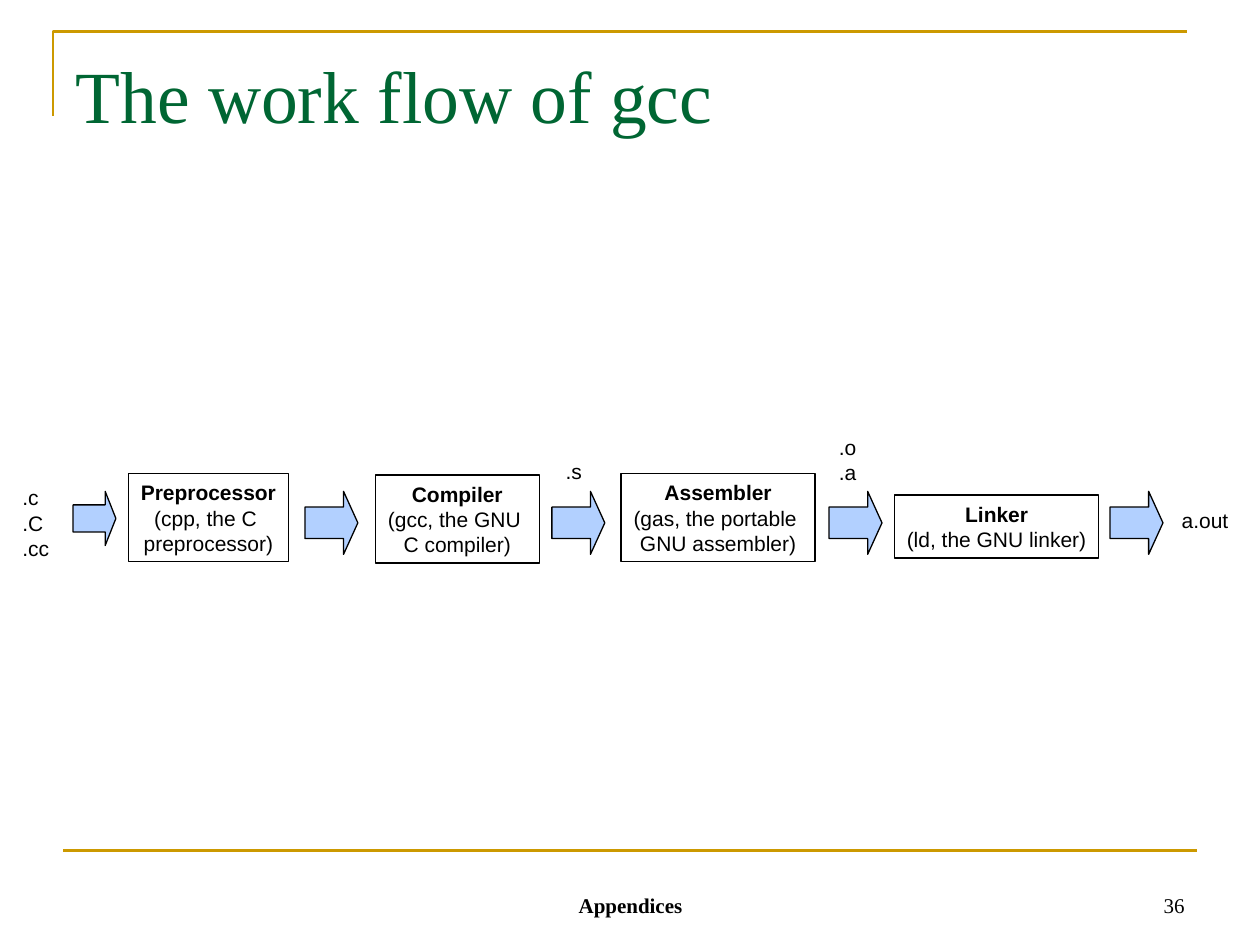
from dataclasses import dataclass
from lxml.etree import SubElement as Sub
from pptx import Presentation
from pptx.dml.color import RGBColor as Rgb
from pptx.enum.shapes import MSO_CONNECTOR as Link, MSO_SHAPE as Form
from pptx.enum.text import MSO_ANCHOR as Anchor, PP_ALIGN as Align
from pptx.oxml.ns import qn
from pptx.util import Inches, Pt


@dataclass(frozen=True)
class Theme:
    ink: Rgb = Rgb(0, 0, 0)
    green: Rgb = Rgb(0x00, 0x66, 0x33)
    gold: Rgb = Rgb(0xCC, 0x99, 0x00)
    blue: Rgb = Rgb(0x00, 0x66, 0xFF)
    sans: str = "Arial"
    serif: str = "Times New Roman"
    head: int = 42
    body: int = 12
    rule: float = 1.5
    edge: float = 0.75


@dataclass(frozen=True)
class Box:
    x: float
    y: float
    w: float
    h: float

    def inner(self, x, y, w, h):
        return Box(self.x + x, self.y + y, w, h)

    def emu(self):
        return [unit(n) for n in (self.x, self.y, self.w, self.h)]


THEME = Theme()
WIDE = 10
COLS, ROWS = 100, 75


def unit(n):
    return Inches(n * WIDE / COLS)


def stroke(line, tint, size):
    line.color.rgb = tint
    line.width = Pt(size)


def write(frame, lines, face, size=THEME.body, tint=THEME.ink,
          align=Align.LEFT, bold=0):
    for i, words in enumerate(lines):
        para = frame.paragraphs[0] if i == 0 else frame.add_paragraph()
        para.alignment = align
        run = para.add_run()
        run.text = words
        font = run.font
        font.name, font.size, font.bold = face, Pt(size), i < bold
        font.color.rgb = tint


def label(slide, box, lines, face=THEME.sans, anchor=Anchor.TOP, **style):
    frame = slide.shapes.add_textbox(*box.emu()).text_frame
    frame.word_wrap = True
    frame.vertical_anchor = anchor
    write(frame, lines, face, **style)


def stage(slide, box, lines):
    shape = slide.shapes.add_shape(Form.RECTANGLE, *box.emu())
    shape.shadow.inherit = False
    shape.fill.background()
    stroke(shape.line, THEME.ink, THEME.edge)
    frame = shape.text_frame
    frame.word_wrap = False
    frame.vertical_anchor = Anchor.TOP
    write(frame, lines, THEME.sans, align=Align.CENTER, bold=1)


def arrow(slide, box, tip):
    shape = slide.shapes.add_shape(Form.RIGHT_ARROW, *box.emu())
    shape.shadow.inherit = False
    shape.adjustments[0], shape.adjustments[1] = 0.5, tip
    shape.fill.solid()
    shape.fill.fore_color.rgb = THEME.blue
    tint = shape._element.spPr.find(qn("a:solidFill"))[0]
    Sub(tint, qn("a:alpha"), val="30000")
    stroke(shape.line, THEME.ink, THEME.edge)


def header(slide, box):
    pen = slide.shapes.build_freeform(unit(box.x), unit(box.y + 6.7))
    pen.add_line_segments(
        [(unit(box.x), unit(box.y)), (unit(box.x + box.w), unit(box.y))],
        close=False)
    frame = pen.convert_to_shape()
    frame.shadow.inherit = False
    frame.fill.background()
    stroke(frame.line, THEME.gold, THEME.rule)

    title = slide.shapes.title
    spot = box.inner(0.8, 0.5, 90, 12.5)
    title.left, title.top, title.width, title.height = spot.emu()
    text = title.text_frame
    text.vertical_anchor = Anchor.TOP
    text.margin_top = unit(1)
    write(text, ["The work flow of gcc"], THEME.serif, THEME.head, THEME.green)


def flow(slide, box):
    stages = [
        (10.2, 3.6, 12.7, 7, ["Preprocessor", "(cpp, the C ", "preprocessor)"]),
        (29.8, 3.7, 13, 7, ["Compiler", "(gcc, the GNU ", "C compiler)"]),
        (49.3, 3.6, 15.4, 7,
         ["Assembler", "(gas, the portable ", "GNU assembler)"]),
        (71, 5.3, 16.2, 5, ["Linker", "(ld, the GNU linker)"]),
    ]
    for *spot, lines in stages:
        stage(slide, box.inner(*spot), lines)

    arrow(slide, box.inner(5.8, 5, 3.4, 4.3), 0.25)
    for x in (24.2, 43.8, 65.8, 88.1):
        arrow(slide, box.inner(x, 5, 4.2, 5), 0.27)

    files = [
        (0.8, 4, 4.4, 7, [".c", ".C", ".cc"]),
        (43.9, 1.9, 3.4, 3, [".s"]),
        (65.6, 0, 3.5, 5, [".o", ".a"]),
        (92.8, 5.8, 6.5, 3, ["a.out"]),
    ]
    for *spot, lines in files:
        label(slide, box.inner(*spot), lines)


def footer(slide, box):
    rule = slide.shapes.add_connector(
        Link.STRAIGHT, unit(box.x), unit(box.y),
        unit(box.x + box.w), unit(box.y))
    stroke(rule.line, THEME.gold, THEME.rule)
    Sub(rule._element.spPr, qn("a:effectLst"))
    label(slide, box.inner(29.2, 0.8, 31.7, 5), ["Appendices"], THEME.serif,
          Anchor.BOTTOM, align=Align.CENTER, bold=1)
    label(slide, box.inner(66.7, 0.8, 23.3, 5), ["36"], THEME.serif,
          Anchor.BOTTOM, align=Align.RIGHT)


def main():
    deck = Presentation()
    deck.slide_width, deck.slide_height = unit(COLS), unit(ROWS)
    slide = deck.slides.add_slide(deck.slide_layouts[5])
    header(slide, Box(4.2, 2.5, 90, 13))
    flow(slide, Box(0, 34, COLS, 11))
    footer(slide, Box(5, 67.5, 90, 5.8))
    deck.save("out.pptx")


if __name__ == "__main__":
    main()
